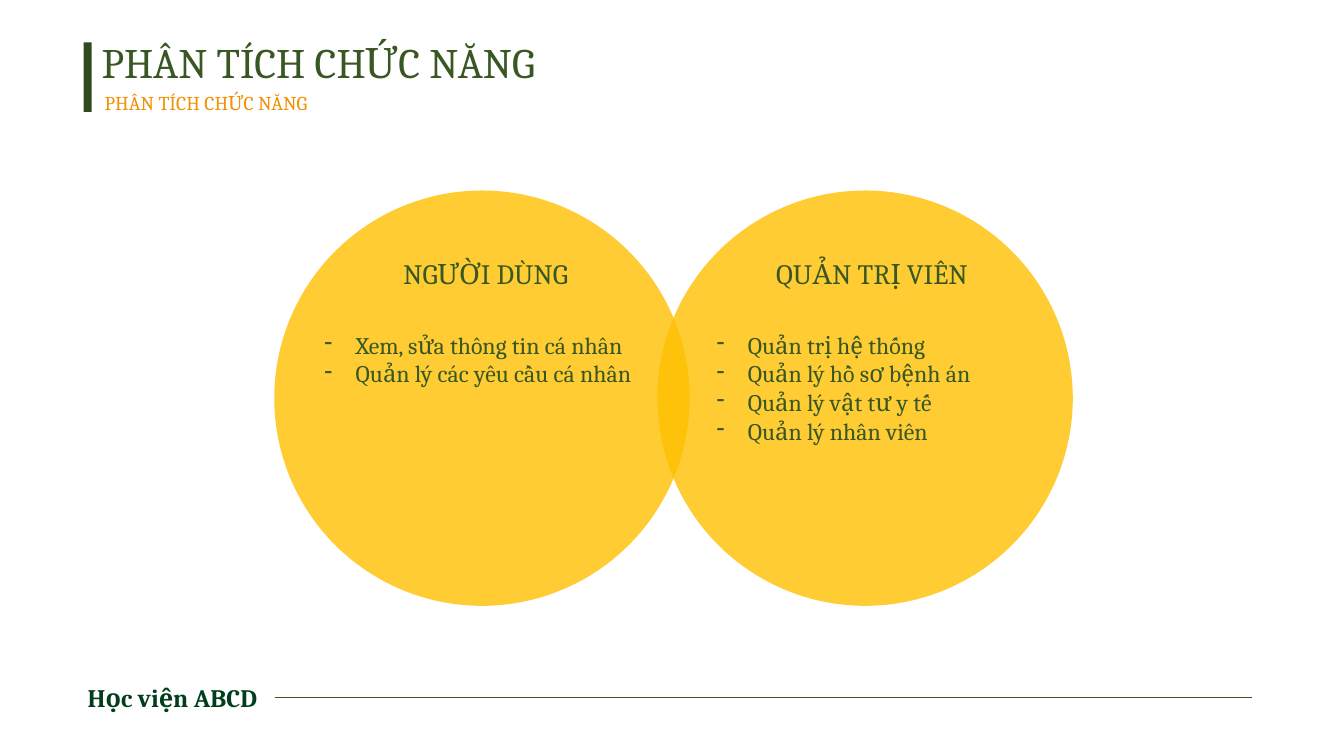
from lxml import etree
from pptx import Presentation
from pptx.dml.color import RGBColor
from pptx.enum.shapes import MSO_CONNECTOR, MSO_SHAPE
from pptx.oxml.ns import qn
from pptx.util import Inches, Pt

STRAIGHT = MSO_CONNECTOR.STRAIGHT
OVAL, RECTANGLE = MSO_SHAPE.OVAL, MSO_SHAPE.RECTANGLE

GREEN = RGBColor(0x38, 0x57, 0x23)
DARK_GREEN = RGBColor(0x30, 0x4A, 0x1E)
FOOTER_GREEN = RGBColor(0x00, 0x3E, 0x1C)
ORANGE = RGBColor(0xF2, 0x90, 0x00)
GOLD = RGBColor(0xFF, 0xC0, 0x00)

prs = Presentation()
prs.slide_width, prs.slide_height = Inches(13.33), Inches(7.5)
slide = prs.slides.add_slide(prs.slide_layouts[6])


def add_text(box, lines, size, color=GREEN, bold=False, bulleted=False, **paragraph_format):
    frame = slide.shapes.add_textbox(*map(Inches, box)).text_frame
    frame.word_wrap = True
    frame.text = "\n".join(lines)
    for paragraph in frame.paragraphs:
        for name, value in paragraph_format.items():
            setattr(paragraph, name, value)
        font = paragraph.runs[0].font
        for name, value in {"name": "Cambria", "size": Pt(size), "bold": bold}.items():
            setattr(font, name, value)
        font.color.rgb = color
        if bulleted:
            properties = paragraph._p.get_or_add_pPr()
            properties.set("marL", str(Inches(0.31)))
            properties.set("indent", str(Inches(-0.31)))
            etree.SubElement(properties, qn("a:buChar"), char="-")


def add_filled(kind, box, color):
    shape = slide.shapes.add_shape(kind, *map(Inches, box))
    shape.shadow.inherit = False
    shape.fill.solid()
    shape.fill.fore_color.rgb = color
    shape.line.fill.background()
    return shape


# Footer
add_text((0.77, 6.72, 2.51, 0.4), ["Học viện ABCD"], 18, FOOTER_GREEN, bold=True)
footer_rule = slide.shapes.add_connector(
    STRAIGHT, Inches(2.73), Inches(6.92), Inches(12.42), Inches(6.92))
footer_rule.line.color.rgb = GREEN
footer_rule.line.width = Pt(1)
etree.SubElement(footer_rule._element.spPr, qn("a:effectLst"))

# Heading with accent bar
heading = "PHÂN TÍCH CHỨC NĂNG"
add_text((0.94, 0.85, 4.79, 0.34), [heading], 14, ORANGE)
add_text((0.91, 0.41, 7.67, 0.5), [heading], 30, line_spacing=0.8)
add_filled(RECTANGLE, (0.83, 0.42, 0.08, 0.69), DARK_GREEN)

# Overlapping translucent circles
for left in (2.72, 6.52):
    circle = add_filled(OVAL, (left, 1.89, 4.12, 4.12), GOLD)
    fill_color = circle._element.spPr.find(qn("a:solidFill"))[0]
    etree.SubElement(fill_color, qn("a:alpha"), val="80000")

# Functions of each role
roles = [
    ("NGƯỜI DÙNG", 3.9, 3.12, 3.24,
     ["Xem, sửa thông tin cá nhân", "Quản lý các yêu cầu cá nhân"]),
    ("QUẢN TRỊ VIÊN", 7.6, 7.01, 3.29,
     ["Quản trị hệ thống", "Quản lý hồ sơ bệnh án",
      "Quản lý vật tư y tế", "Quản lý nhân viên"]),
]
for role, role_left, list_left, list_width, functions in roles:
    add_text((role_left, 2.5, 2.38, 0.44), [role], 20)
    add_text((list_left, 3.23, list_width, 1.25), functions, 17, bulleted=True)

prs.save("out.pptx")
